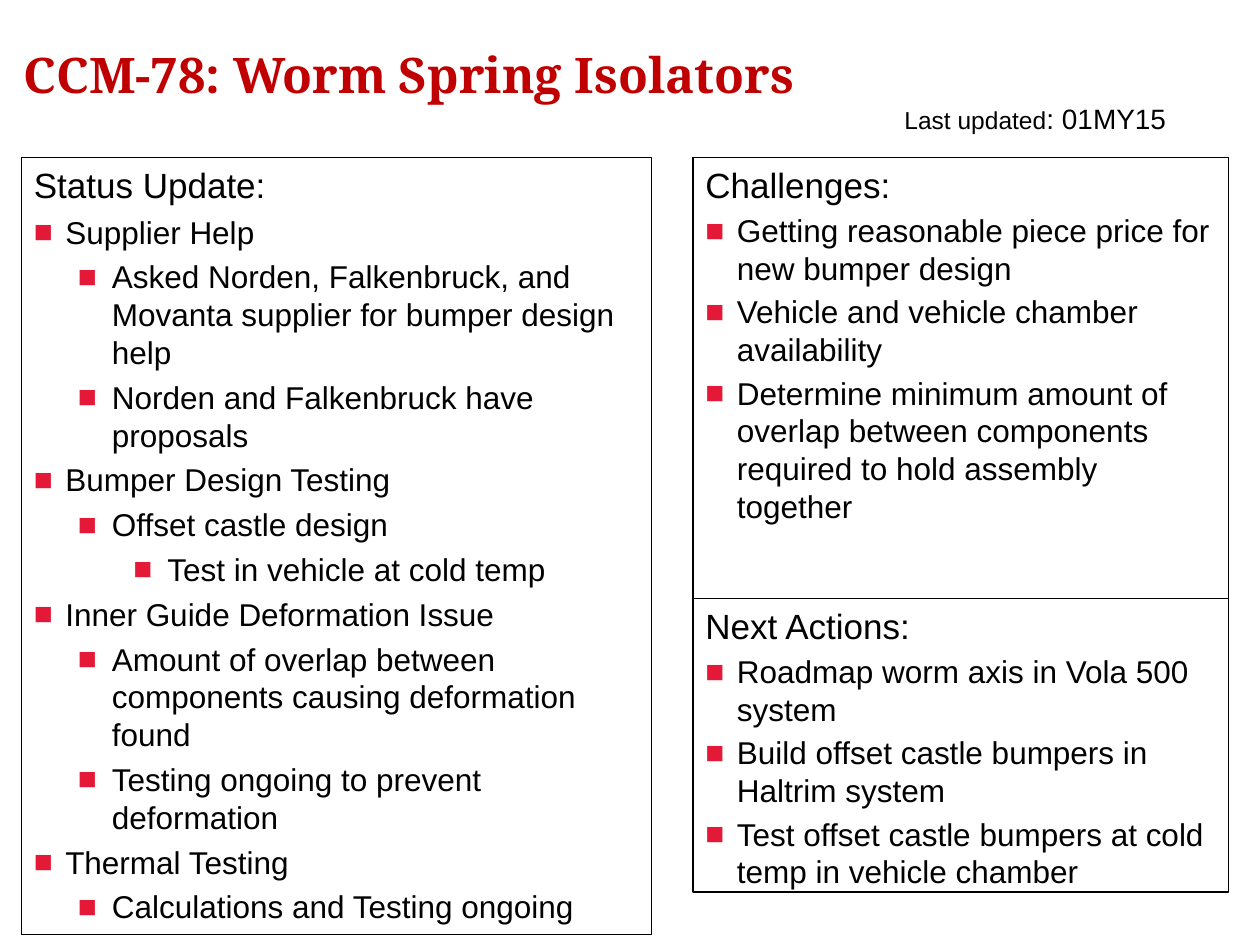
from dataclasses import dataclass

from lxml.etree import SubElement
from pptx import Presentation
from pptx.dml.color import RGBColor
from pptx.enum.shapes import MSO_SHAPE
from pptx.enum.text import MSO_ANCHOR, PP_ALIGN
from pptx.oxml.ns import qn
from pptx.util import Inches, Pt

BLACK = RGBColor(0x00, 0x00, 0x00)
TITLE_RED = RGBColor(0xC0, 0x00, 0x00)
BULLET_RED = RGBColor(0xE3, 0x19, 0x37)
BODY_FONT, TITLE_FONT = "Arial", "Noto Serif"
LEVEL_MARGINS = (0.25, 0.62, 1.06)
LEVEL_HANGS = (0.25, 0.27, 0.27)


@dataclass
class Item:
    text: str
    level: int = 0


@dataclass
class Panel:
    heading: str
    left: float
    top: float
    width: float
    height: float
    space_before: float
    items: list[Item]


PANELS = [
    Panel("Status Update:", 0.17, 1.25, 5, 6.17, 4, [
        Item("Supplier Help"),
        Item("Asked Norden, Falkenbruck, and Movanta supplier for bumper design help", 1),
        Item("Norden and Falkenbruck have proposals", 1),
        Item("Bumper Design Testing"),
        Item("Offset castle design", 1),
        Item("Test in vehicle at cold temp", 2),
        Item("Inner Guide Deformation Issue"),
        Item("Amount of overlap between components causing deformation found", 1),
        Item("Testing ongoing to prevent deformation", 1),
        Item("Thermal Testing"),
        Item("Calculations and Testing ongoing", 1),
    ]),
    Panel("Challenges:", 5.5, 1.25, 4.25, 3.5, 3.2, [
        Item("Getting reasonable piece price for new bumper design"),
        Item("Vehicle and vehicle chamber availability"),
        Item("Determine minimum amount of overlap between components "
             "required to hold assembly together"),
    ]),
    Panel("Next Actions:", 5.5, 4.75, 4.25, 2.33, 3.2, [
        Item("Roadmap worm axis in Vola 500 system"),
        Item("Build offset castle bumpers in Haltrim system"),
        Item("Test offset castle bumpers at cold temp in vehicle chamber"),
    ]),
]


def style_font(font, size: float, color: RGBColor = BLACK, name: str = BODY_FONT) -> None:
    font.size, font.name = Pt(size), name
    font.color.rgb = color


def add_bullet(paragraph, level: int) -> None:
    properties = paragraph._p.get_or_add_pPr()
    properties.set("marL", str(Inches(LEVEL_MARGINS[level])))
    properties.set("indent", str(-Inches(LEVEL_HANGS[level])))
    color = SubElement(properties, qn("a:buClr"))
    SubElement(color, qn("a:srgbClr"), val=str(BULLET_RED))
    SubElement(properties, qn("a:buFont"), typeface=BODY_FONT)
    SubElement(properties, qn("a:buChar"), char="■")


def draw_panel(slide, panel: Panel) -> None:
    box = slide.shapes.add_shape(
        MSO_SHAPE.RECTANGLE, Inches(panel.left), Inches(panel.top),
        Inches(panel.width), Inches(panel.height))
    box.shadow.inherit = False
    box.fill.background()
    box.line.color.rgb, box.line.width = BLACK, Pt(0.75)
    frame = box.text_frame
    frame.word_wrap, frame.vertical_anchor = True, MSO_ANCHOR.TOP
    heading = frame.paragraphs[0]
    heading.text, heading.alignment = panel.heading, PP_ALIGN.LEFT
    style_font(heading.font, 20)
    for item in panel.items:
        paragraph = frame.add_paragraph()
        paragraph.text, paragraph.level = item.text, item.level
        paragraph.alignment = PP_ALIGN.LEFT
        paragraph.space_before = Pt(panel.space_before)
        add_bullet(paragraph, item.level)
        style_font(paragraph.font, 18)


def add_label(slide, left: float, top: float, width: float, height: float):
    frame = slide.shapes.add_textbox(
        Inches(left), Inches(top), Inches(width), Inches(height)).text_frame
    frame.word_wrap = True
    return frame


prs = Presentation()
prs.slide_width, prs.slide_height = Inches(10), Inches(7.5)
slide = prs.slides.add_slide(prs.slide_layouts[6])

# Status, challenges and next actions
for panel in PANELS:
    draw_panel(slide, panel)

# Date of the last update
updated = add_label(slide, 7.08, 0.76, 2.33, 0.4).paragraphs[0]
for text, size in (("Last updated", 14), (": 01MY15", 16)):
    run = updated.add_run()
    run.text = text
    style_font(run.font, size)

# Title
title_frame = add_label(slide, 0.09, 0.09, 6.67, 1)
title_frame.vertical_anchor = MSO_ANCHOR.MIDDLE
title = title_frame.paragraphs[0]
title.text = "CCM-78: Worm Spring Isolators"
style_font(title.font, 28, TITLE_RED, TITLE_FONT)
title.font.bold = True

prs.save("out.pptx")
